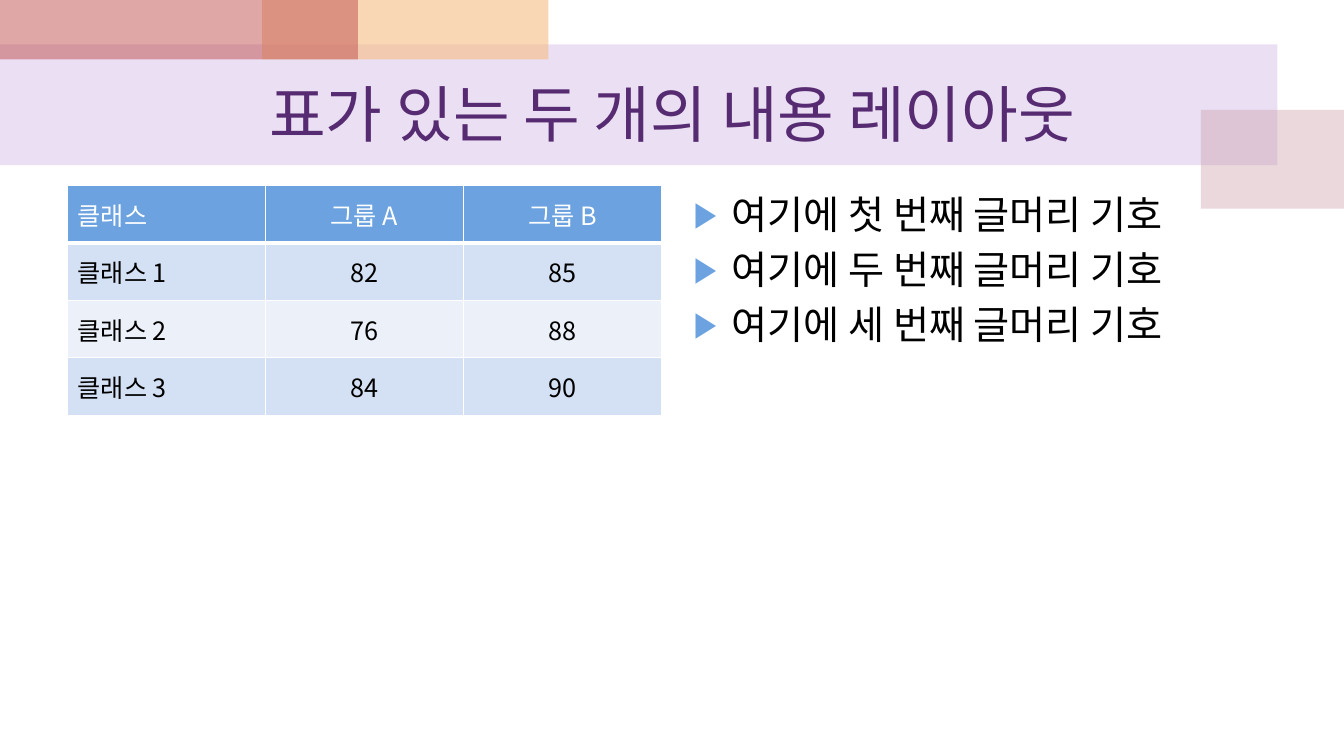
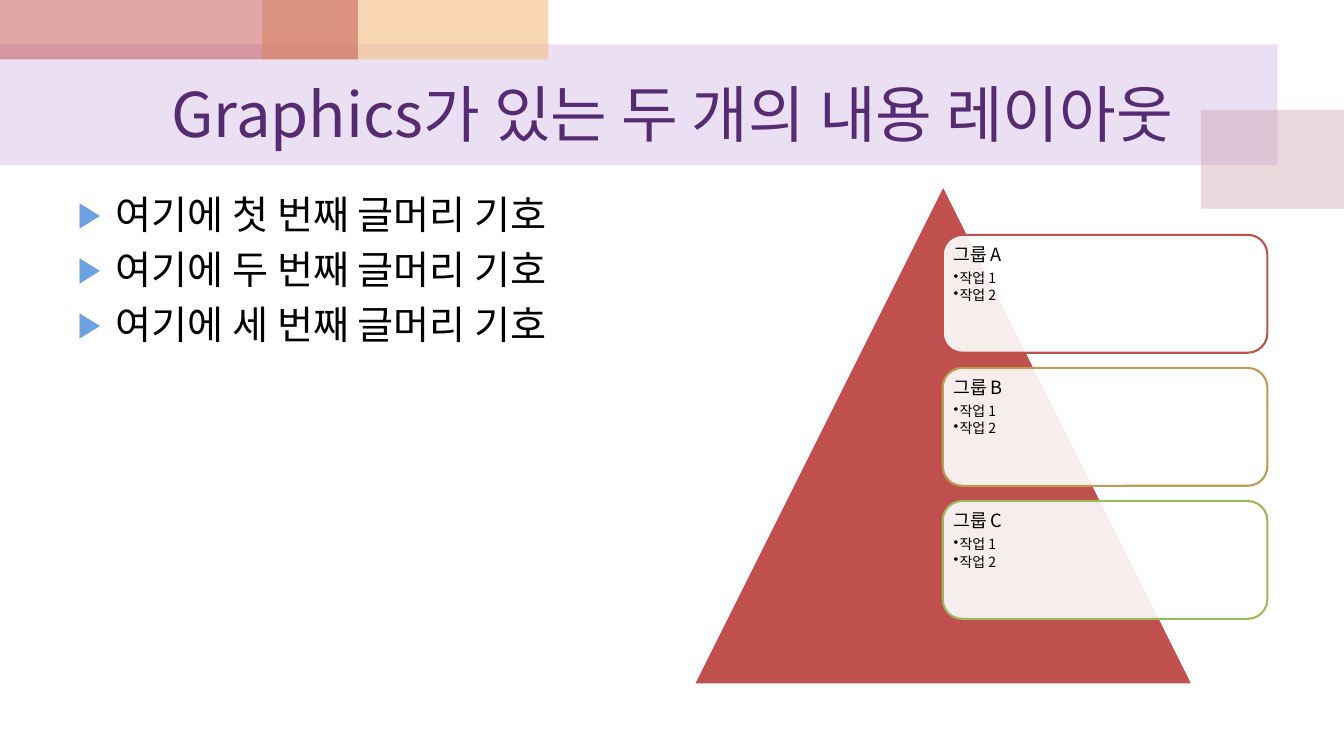
from lxml import etree
from pptx import Presentation
from pptx.dml.color import RGBColor
from pptx.enum.shapes import MSO_SHAPE
from pptx.enum.text import MSO_ANCHOR, PP_ALIGN
from pptx.oxml import parse_xml
from pptx.oxml.ns import nsdecls, qn
from pptx.util import Inches, Pt

RECTANGLE = MSO_SHAPE.RECTANGLE
ROUNDED = MSO_SHAPE.ROUNDED_RECTANGLE
TRIANGLE = MSO_SHAPE.ISOSCELES_TRIANGLE
TOP, MIDDLE = MSO_ANCHOR.TOP, MSO_ANCHOR.MIDDLE
LEFT, CENTER = PP_ALIGN.LEFT, PP_ALIGN.CENTER

FONT = "Noto Sans CJK KR"
COLORS = {
    "title": "562B71", "text": "000000", "white": "FFFFFF",
    "lilac": "BF98D8", "rose": "CC9EAC", "peach": "F5BC83",
    "red": "C0504D", "gold": "BD9B53", "green": "9BBB59",
    "blue": "6BA2DF", "blue band": "D4E0F3", "pale band": "EBF0F9",
}
COLUMN_LEFTS = (0.67, 6.78)
COLUMN_WIDTH, COLUMN_TOP, COLUMN_HEIGHT = 5.89, 1.84, 4.95
BULLETS = ["여기에 첫 번째 글머리 기호", "여기에 두 번째 글머리 기호", "여기에 세 번째 글머리 기호"]


def add_filled_shape(shapes, kind, bounds, color, opacity=100, outline=None):
    """Add a shadowless shape; bounds are in inches, opacity in percent."""
    shape = shapes.add_shape(kind, *map(Inches, bounds))
    shape.shadow.inherit = False
    shape.fill.solid()
    shape.fill.fore_color.rgb = RGBColor.from_string(COLORS[color])
    if opacity < 100:
        fill_color = shape.element.spPr.find(qn("a:solidFill")).find(qn("a:srgbClr"))
        etree.SubElement(fill_color, qn("a:alpha"), val=str(opacity * 1000))
    if outline:
        shape.line.color.rgb = RGBColor.from_string(COLORS[outline])
        shape.line.width = Pt(1.5)
    else:
        shape.line.fill.background()
    return shape


def format_paragraph(para, size, color, alignment):
    para.alignment = alignment
    para.font.name = FONT
    para.font.size = Pt(size)
    para.font.bold = False
    para.font.color.rgb = RGBColor.from_string(COLORS[color])


deck = Presentation()
deck.slide_width, deck.slide_height = Inches(13.33), Inches(7.5)
master = deck.slide_master
layout = deck.slide_layouts[3]

# Shared placeholder positions
placeholder_bounds = [(0.67, 0.59, 12, 1.05)] + [
    (left, COLUMN_TOP, COLUMN_WIDTH, COLUMN_HEIGHT) for left in COLUMN_LEFTS
]
for placeholder in layout.placeholders:
    index = placeholder.placeholder_format.idx
    if index < len(placeholder_bounds):
        (placeholder.left, placeholder.top,
         placeholder.width, placeholder.height) = map(Inches, placeholder_bounds[index])

# Shared title and list styles
title_style = next(master.element.iter(qn("p:titleStyle"))).find(qn("a:lvl1pPr"))
list_style = next(master.element.iter(qn("p:bodyStyle"))).find(qn("a:lvl1pPr"))
for style, color in ((title_style, "title"), (list_style, "text")):
    defaults = style.find(qn("a:defRPr"))
    defaults.replace(defaults.find(qn("a:solidFill")), parse_xml(
        f'<a:solidFill {nsdecls("a")}><a:srgbClr val="{COLORS[color]}"/></a:solidFill>'))
    for script in ("a:latin", "a:ea"):
        defaults.find(qn(script)).set("typeface", FONT)

bullet_font = list_style.find(qn("a:buFont"))
bullet_font.addprevious(parse_xml(
    f'<a:buClr {nsdecls("a")}><a:srgbClr val="{COLORS["blue"]}"/></a:buClr>'))
bullet_font.addprevious(parse_xml(f'<a:buSzPct {nsdecls("a")} val="90000"/>'))
list_style.find(qn("a:buChar")).set("char", "▶")

table_slide = deck.slides.add_slide(layout)
diagram_slide = deck.slides.add_slide(layout)

# Bands are drawn on a slide, then moved behind everything on the master
bands = [
    ((0, 0.44, 12.67, 1.2), "lilac", 30),
    ((11.91, 1.09, 1.42, 0.98), "rose", 40),
    ((2.6, 0, 2.84, 0.59), "peach", 60),
    ((0, 0, 3.55, 0.59), "red", 50),
]
for order, (bounds, color, opacity) in enumerate(bands):
    band = add_filled_shape(table_slide.shapes, RECTANGLE, bounds, color, opacity)
    band.element.nvSpPr.cNvPr.set("id", str(100 + order))
    master.shapes.element.insert(2 + order, band.element)

# Titles and lists
for slide, title, list_index in (
    (table_slide, "표가 있는 두 개의 내용 레이아웃", 2),
    (diagram_slide, "Graphics가 있는 두 개의 내용 레이아웃", 1),
):
    slide.shapes.title.text_frame.text = title
    slide.placeholders[list_index].text_frame.text = "\n".join(BULLETS)
    unused = slide.placeholders[3 - list_index].element
    unused.getparent().remove(unused)

# Table of class scores
scores = [
    ("클래스", "그룹 A", "그룹 B"),
    ("클래스 1", "82", "85"),
    ("클래스 2", "76", "88"),
    ("클래스 3", "84", "90"),
]
row_height = 0.57
frame = table_slide.shapes.add_table(
    len(scores), len(scores[0]), Inches(COLUMN_LEFTS[0]), Inches(COLUMN_TOP),
    Inches(COLUMN_WIDTH), Inches(row_height * len(scores)))
for row, values in enumerate(scores):
    row_fill = "blue" if row == 0 else ("pale band", "blue band")[row % 2]
    for column, value in enumerate(values):
        cell = frame.table.cell(row, column)
        cell.fill.solid()
        cell.fill.fore_color.rgb = RGBColor.from_string(COLORS[row_fill])
        cell.vertical_anchor = MIDDLE
        cell.text = value
        format_paragraph(cell.text_frame.paragraphs[0], 18,
                         "text" if row else "white", CENTER if column else LEFT)

for number, properties in enumerate(frame.element.iter(qn("a:tcPr"))):
    is_header = number < len(scores[0])
    for order, side in enumerate(("lnL", "lnR", "lnT", "lnB")):
        width = Pt(3 if is_header and side == "lnB" else 1)
        properties.insert(order, parse_xml(
            f'<a:{side} {nsdecls("a")} w="{width}"><a:solidFill>'
            f'<a:srgbClr val="{COLORS["white"]}"/></a:solidFill></a:{side}>'))

# Pyramid with a card for each group
pyramid = diagram_slide.shapes.add_group_shape()
add_filled_shape(pyramid.shapes, TRIANGLE, (6.88, COLUMN_TOP, 4.95, 4.95), "red",
                 outline="white")
card_top, card_pitch = 2.33, 1.32
for order, (group, color) in enumerate(
        (("그룹 A", "red"), ("그룹 B", "gold"), ("그룹 C", "green"))):
    card = add_filled_shape(
        pyramid.shapes, ROUNDED, (9.35, card_top + order * card_pitch, 3.22, 1.17),
        "white", 90, color)
    text = card.text_frame
    text.word_wrap = True
    text.vertical_anchor = TOP
    text.margin_left = text.margin_right = Inches(0.05)
    text.margin_top = text.margin_bottom = Inches(0.05)
    text.text = "\n".join((group, "작업 1", "작업 2"))
    for line, para in enumerate(text.paragraphs):
        format_paragraph(para, 10 if line else 13, "text", LEFT)
        para.line_spacing = 0.9
        para.space_after = Pt(1.5 if line else 4.5)
        para.level = 1 if line else 0
    for properties in list(card.element.iter(qn("a:pPr")))[1:]:
        properties.set("marL", str(Inches(0.06)))
        properties.set("indent", str(-Inches(0.06)))
        properties.find(qn("a:defRPr")).addprevious(
            parse_xml(f'<a:buChar {nsdecls("a")} char="•"/>'))

# Hangul takes the East Asian typeface, so it follows the Latin one
for slide in deck.slides:
    for latin in list(slide.element.iter(qn("a:latin"))):
        latin.addnext(parse_xml(f'<a:ea {nsdecls("a")} typeface="{FONT}"/>'))

deck.save("out.pptx")
